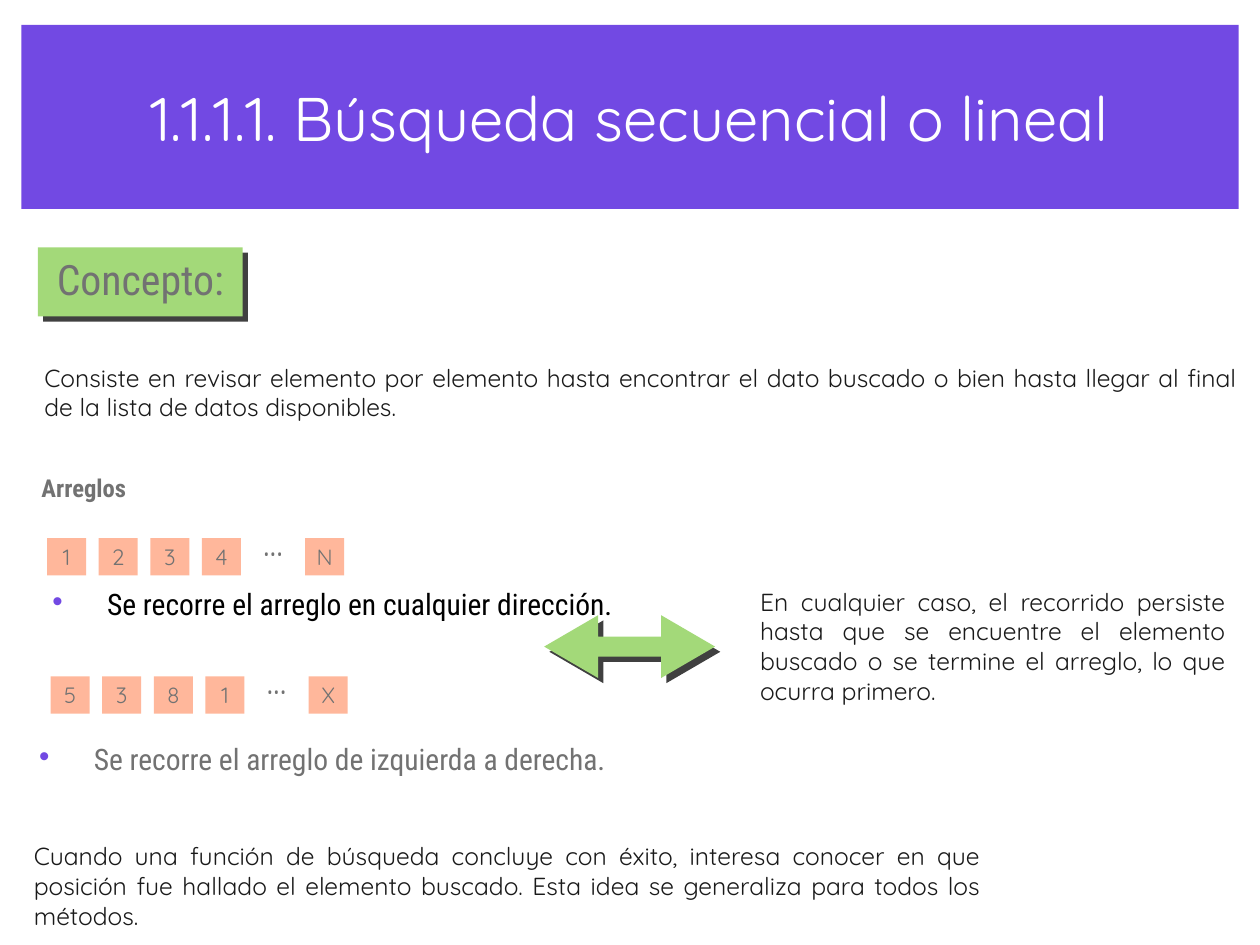
from dataclasses import dataclass

from lxml import etree
from pptx import Presentation
from pptx.dml.color import RGBColor
from pptx.enum.shapes import MSO_SHAPE
from pptx.enum.text import MSO_ANCHOR, MSO_AUTO_SIZE, PP_ALIGN
from pptx.oxml.ns import qn
from pptx.util import Cm, Pt

LEFT, CENTER, JUSTIFY = PP_ALIGN.LEFT, PP_ALIGN.CENTER, PP_ALIGN.JUSTIFY
MIDDLE = MSO_ANCHOR.MIDDLE
NO_AUTOFIT = MSO_AUTO_SIZE.NONE
RECTANGLE, DOUBLE_ARROW = MSO_SHAPE.RECTANGLE, MSO_SHAPE.LEFT_RIGHT_ARROW

QUICKSAND, ROBOTO = "Quicksand", "Roboto Condensed"
PURPLE, GREEN, PEACH = "7249E3", "A3D979", "FFB79B"
GRAY, INK, BLACK, WHITE = "727272", "1A1A1A", "000000", "FFFFFF"

CELL_WIDTH, CELL_HEIGHT, CELL_PITCH = 1.12, 1.07, 1.48
DOTS_WIDTH, DOTS_HEIGHT, DOTS_RISE = 0.86, 1.27, 0.54
BULLET_HANG = 1.57


@dataclass(frozen=True)
class Box:
    left: float
    top: float
    width: float
    height: float

    def lengths(self) -> tuple:
        return Cm(self.left), Cm(self.top), Cm(self.width), Cm(self.height)


@dataclass(frozen=True)
class ArrayRow:
    left: float
    top: float
    values: tuple


@dataclass(frozen=True)
class Passage:
    box: Box
    text: str


ARRAYS = (
    ArrayRow(1.35, 15.42, ("1", "2", "3", "4", "...", "N")),
    ArrayRow(1.45, 19.38, ("5", "3", "8", "1", "...", "X")),
)

PASSAGES = (
    Passage(Box(1.27, 10.16, 34.19, 2.16),
            "Consiste en revisar elemento por elemento hasta encontrar el dato "
            "buscado o bien hasta llegar al final de la lista de datos disponibles."),
    Passage(Box(21.79, 16.48, 13.34, 4.06),
            "En cualquier caso, el recorrido persiste hasta que se encuentre el "
            "elemento buscado o se termine el arreglo, lo que ocurra primero."),
    Passage(Box(0.97, 23.83, 27.13, 3.1),
            "Cuando una función de búsqueda concluye con éxito, interesa conocer "
            "en que posición fue hallado el elemento buscado. Esta idea se "
            "generaliza para todos los métodos."),
)


def color(value: str) -> RGBColor:
    return RGBColor.from_string(value)


def add_bullet(paragraph, margin: float) -> None:
    properties = paragraph._p.get_or_add_pPr()
    properties.set("marL", str(Cm(margin)))
    properties.set("indent", str(-Cm(BULLET_HANG)))
    bullet_color = etree.SubElement(properties, qn("a:buClr"))
    etree.SubElement(bullet_color, qn("a:srgbClr"), val=PURPLE)
    etree.SubElement(properties, qn("a:buFont"), typeface="Arial")
    etree.SubElement(properties, qn("a:buChar"), char="•")


def write(shape, text: str, *, size: float, font: str = QUICKSAND, ink: str = GRAY,
          align=LEFT, bold: bool = False, spacing: float = 1.0, inset: float = 0,
          wrap: bool = True, bullet_margin: float = 0) -> None:
    frame = shape.text_frame
    frame.auto_size = NO_AUTOFIT
    frame.word_wrap = wrap
    frame.vertical_anchor = MIDDLE
    frame.margin_left = frame.margin_right = Cm(inset)
    frame.margin_top = frame.margin_bottom = Cm(inset)
    frame.text = text
    paragraph = frame.paragraphs[0]
    if bullet_margin:
        add_bullet(paragraph, bullet_margin)
    paragraph.alignment = align
    paragraph.line_spacing = spacing
    paragraph.space_before = Pt(0)
    face = paragraph.runs[0].font
    face.name, face.size, face.bold = font, Pt(size), bold
    face.color.rgb = color(ink)


def add_text(slide, box: Box, text: str, **style) -> None:
    write(slide.shapes.add_textbox(*box.lengths()), text, **style)


def paint(shape, fill: str) -> None:
    shape.fill.solid()
    shape.fill.fore_color.rgb = color(fill)
    shape.line.fill.background()


def add_block(slide, kind, box: Box, fill: str):
    block = slide.shapes.add_shape(kind, *box.lengths())
    block.shadow.inherit = False
    paint(block, fill)
    return block


def cast_shadow(shape) -> None:
    effects = shape._element.spPr.find(qn("a:effectLst"))
    shadow = etree.SubElement(effects, qn("a:outerShdw"), blurRad="0",
                              dist=str(Pt(6)), dir="2700000",
                              algn="ctr", rotWithShape="0")
    tint = etree.SubElement(shadow, qn("a:srgbClr"), val=BLACK)
    etree.SubElement(tint, qn("a:alpha"), val="75000")


def place(placeholder, box: Box) -> None:
    (placeholder.left, placeholder.top,
     placeholder.width, placeholder.height) = box.lengths()


def draw_array(slide, row: ArrayRow) -> None:
    for index, value in enumerate(row.values):
        left = row.left + index * CELL_PITCH
        if value == "...":
            dots = Box(left + (CELL_WIDTH - DOTS_WIDTH) / 2, row.top - DOTS_RISE,
                       DOTS_WIDTH, DOTS_HEIGHT)
            add_text(slide, dots, value, size=30, align=CENTER, wrap=False)
        else:
            cell = add_block(slide, RECTANGLE,
                             Box(left, row.top, CELL_WIDTH, CELL_HEIGHT), PEACH)
            write(cell, value, size=18, align=CENTER)


def main() -> None:
    presentation = Presentation()
    presentation.slide_width, presentation.slide_height = Cm(36.12), Cm(27.08)
    slide = presentation.slides.add_slide(presentation.slide_layouts[1])

    title, any_direction = slide.placeholders
    place(title, Box(0.61, 0.71, 34.9, 5.28))
    paint(title, PURPLE)
    write(title, "1.1.1.1. Búsqueda secuencial o lineal", size=50, ink=WHITE,
          align=CENTER, inset=0.15)

    place(any_direction, Box(0.46, 16.66, 23.5, 1.65))
    write(any_direction, "Se recorre el arreglo en cualquier dirección.", size=24,
          font=ROBOTO, ink=BLACK, spacing=0.5, inset=0.15, bullet_margin=2.46)
    add_text(slide, Box(1.12, 20.93, 23.5, 1.98),
             "Se recorre el arreglo de izquierda a derecha.", size=24,
             font=ROBOTO, spacing=0.5, bullet_margin=BULLET_HANG)

    concept = add_block(slide, RECTANGLE, Box(1.09, 7.09, 5.87, 1.98), GREEN)
    cast_shadow(concept)
    write(concept, "Concepto:", size=34, font=ROBOTO, align=CENTER, spacing=0.9)

    add_text(slide, Box(1.19, 13.39, 3.1, 1.17), "Arreglos", size=20,
             font=ROBOTO, bold=True)
    for row in ARRAYS:
        draw_array(slide, row)
    for passage in PASSAGES:
        add_text(slide, passage.box, passage.text, size=20, ink=INK, align=JUSTIFY)

    both_ways = add_block(slide, DOUBLE_ARROW, Box(15.6, 17.63, 4.9, 1.8), GREEN)
    both_ways.adjustments[0] = 0.32
    both_ways.adjustments[1] = 0.86
    cast_shadow(both_ways)

    presentation.save("out.pptx")


if __name__ == "__main__":
    main()
